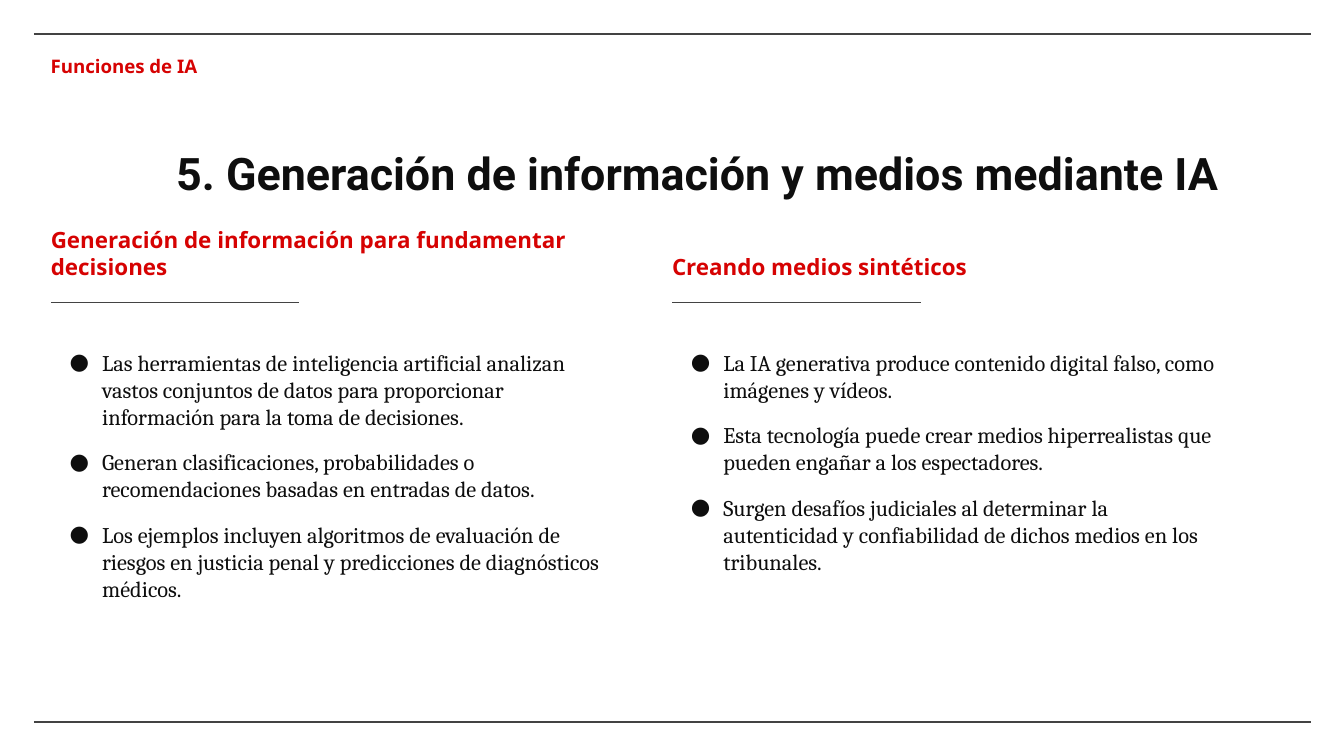
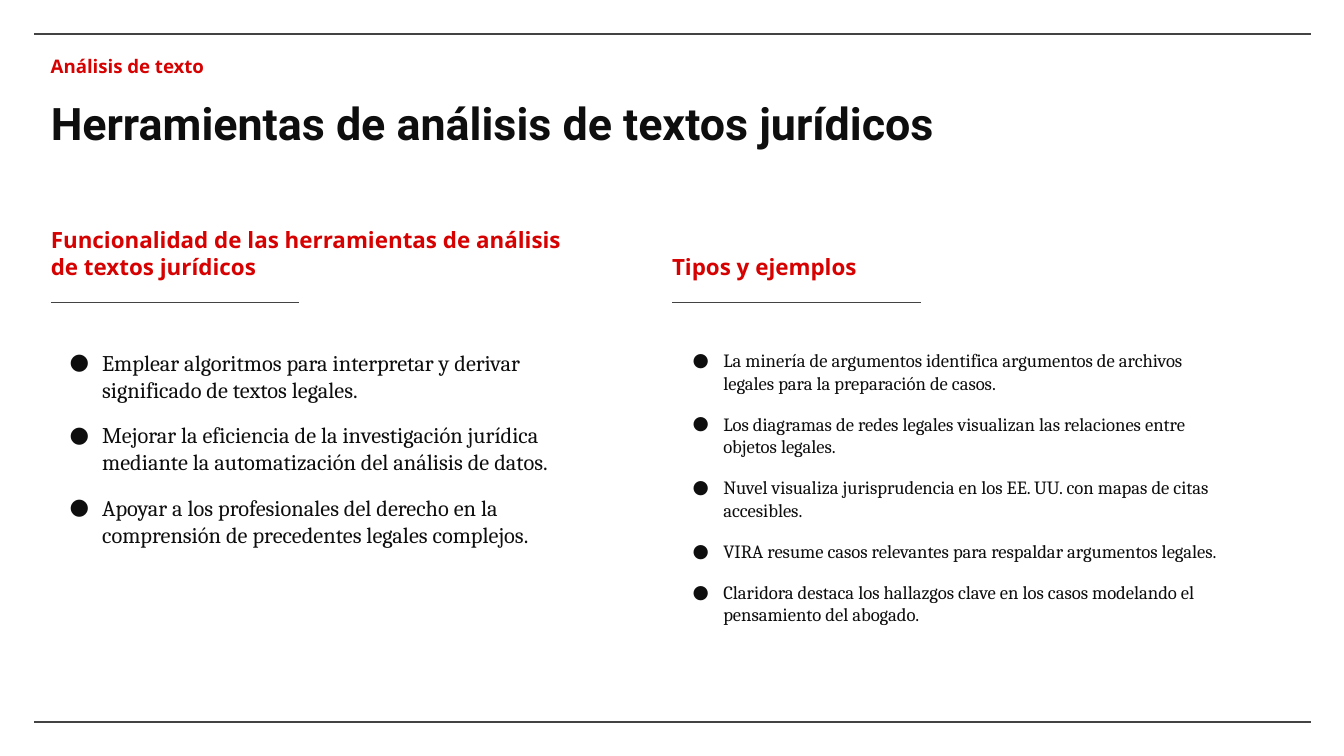
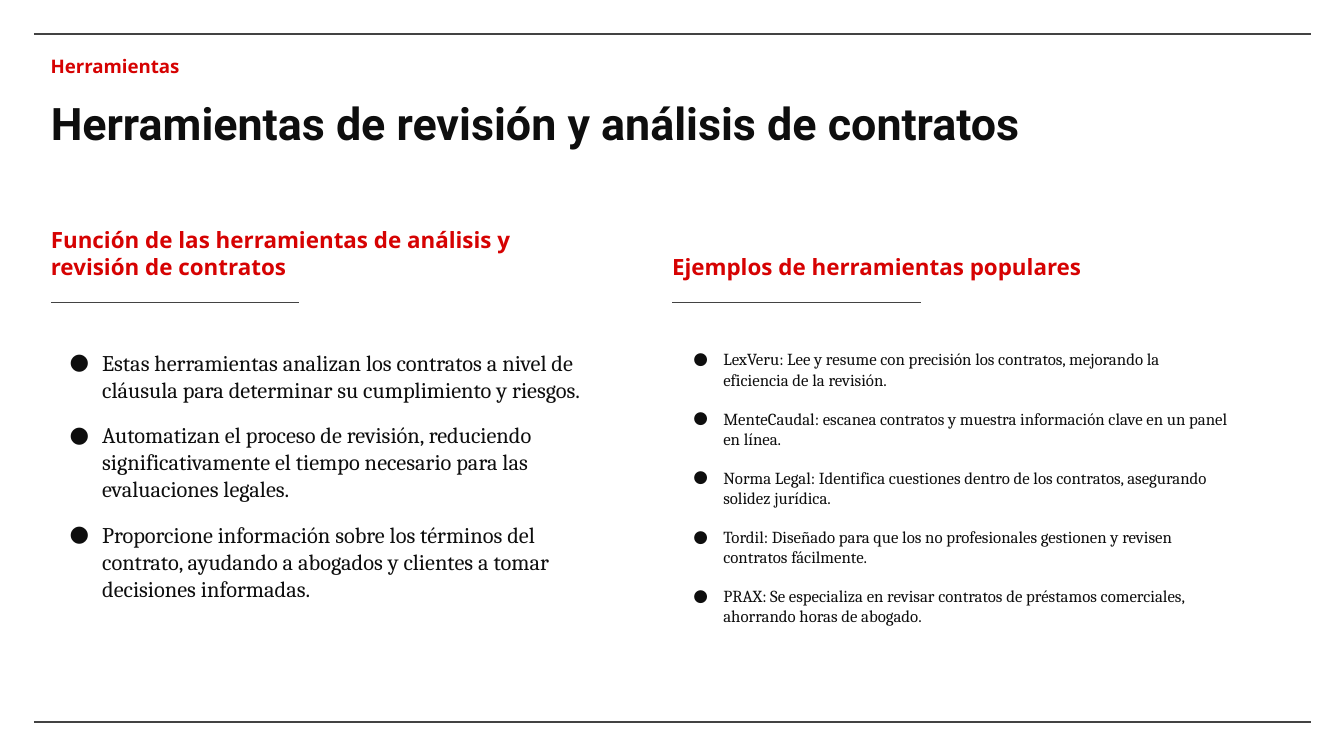
"""Build three two-column slides about artificial intelligence tools for law."""
from dataclasses import dataclass

from lxml.etree import SubElement
from pptx import Presentation
from pptx.dml.color import RGBColor
from pptx.enum.shapes import MSO_CONNECTOR
from pptx.enum.text import MSO_ANCHOR, MSO_AUTO_SIZE, PP_ALIGN
from pptx.oxml.ns import qn
from pptx.util import Cm, Pt

INK = "0E0E0E"
RED = "D60202"
GREY = "434343"
COLUMN_LEFTS = (0.96, 12.7)
COLUMN_WIDTH = 10.49
TITLE_LEFT, TITLE_TOP = 0.96, 1.45


@dataclass(frozen=True)
class Style:
    font: str
    size: float
    color: str
    bold: bool = False


@dataclass(frozen=True)
class Box:
    left: float
    top: float
    width: float
    height: float


@dataclass(frozen=True)
class Column:
    heading: str
    points: tuple[str, ...]
    size: float = 12


@dataclass(frozen=True)
class Topic:
    section: str
    title: str
    columns: tuple[Column, Column]
    title_left: float = TITLE_LEFT
    title_top: float = TITLE_TOP


TITLE_STYLE = Style("Roboto", 24, INK, True)
HEADING_STYLE = Style("Noto Sans", 12, RED, True)
SECTION_STYLE = Style("Noto Sans", 10, RED, True)

TOPICS = (
    Topic(
        "Funciones de IA",
        "5. Generación de información y medios mediante IA",
        (
            Column("Generación de información para fundamentar decisiones", (
                "Las herramientas de inteligencia artificial analizan vastos conjuntos de datos "
                "para proporcionar información para la toma de decisiones.",
                "Generan clasificaciones, probabilidades o recomendaciones basadas en entradas de datos.",
                "Los ejemplos incluyen algoritmos de evaluación de riesgos en justicia penal "
                "y predicciones de diagnósticos médicos.",
            )),
            Column("Creando medios sintéticos", (
                "La IA generativa produce contenido digital falso, como imágenes y vídeos.",
                "Esta tecnología puede crear medios hiperrealistas que pueden engañar a los espectadores.",
                "Surgen desafíos judiciales al determinar la autenticidad y confiabilidad "
                "de dichos medios en los tribunales.",
            )),
        ),
        title_left=3.33,
        title_top=2.41,
    ),
    Topic(
        "Análisis de texto",
        "Herramientas de análisis de textos jurídicos",
        (
            Column("Funcionalidad de las herramientas de análisis de textos jurídicos", (
                "Emplear algoritmos para interpretar y derivar significado de textos legales.",
                "Mejorar la eficiencia de la investigación jurídica mediante la automatización "
                "del análisis de datos.",
                "Apoyar a los profesionales del derecho en la comprensión de precedentes legales complejos.",
            )),
            Column("Tipos y ejemplos", (
                "La minería de argumentos identifica argumentos de archivos legales "
                "para la preparación de casos.",
                "Los diagramas de redes legales visualizan las relaciones entre objetos legales.",
                "Nuvel visualiza jurisprudencia en los EE. UU. con mapas de citas accesibles.",
                "VIRA resume casos relevantes para respaldar argumentos legales.",
                "Claridora destaca los hallazgos clave en los casos modelando el pensamiento del abogado.",
            ), 10),
        ),
    ),
    Topic(
        "Herramientas",
        "Herramientas de revisión y análisis de contratos",
        (
            Column("Función de las herramientas de análisis y revisión de contratos", (
                "Estas herramientas analizan los contratos a nivel de cláusula "
                "para determinar su cumplimiento y riesgos.",
                "Automatizan el proceso de revisión, reduciendo significativamente "
                "el tiempo necesario para las evaluaciones legales.",
                "Proporcione información sobre los términos del contrato, ayudando a abogados "
                "y clientes a tomar decisiones informadas.",
            )),
            Column("Ejemplos de herramientas populares", (
                "LexVeru: Lee y resume con precisión los contratos, mejorando la eficiencia de la revisión.",
                "MenteCaudal: escanea contratos y muestra información clave en un panel en línea.",
                "Norma Legal: Identifica cuestiones dentro de los contratos, asegurando solidez jurídica.",
                "Tordil: Diseñado para que los no profesionales gestionen y revisen contratos fácilmente.",
                "PRAX: Se especializa en revisar contratos de préstamos comerciales, "
                "ahorrando horas de abogado.",
            ), 9),
        ),
    ),
)


def rgb(color: str) -> RGBColor:
    return RGBColor.from_string(color)


def add_rule(slide, left: float, top: float, length: float):
    rule = slide.shapes.add_connector(
        MSO_CONNECTOR.STRAIGHT, Cm(left), Cm(top), Cm(left + length), Cm(top))
    rule.line.color.rgb = rgb(GREY)
    rule.line.width = Pt(0.75)
    SubElement(rule.element.spPr, qn("a:effectLst"))
    return rule


def prepare_frame(shape, box: Box, anchor: MSO_ANCHOR, right_inset: float = 0):
    shape.left, shape.top = Cm(box.left), Cm(box.top)
    shape.width, shape.height = Cm(box.width), Cm(box.height)
    frame = shape.text_frame
    frame.word_wrap = True
    frame.auto_size = MSO_AUTO_SIZE.NONE
    frame.vertical_anchor = anchor
    frame.margin_left, frame.margin_right = Cm(0), Cm(right_inset)
    frame.margin_top = frame.margin_bottom = Cm(0.25)
    return frame


def write(paragraph, text: str, style: Style, before: float = 0,
          after: float = 0, spacing: float = 1.0) -> None:
    paragraph.alignment = PP_ALIGN.LEFT
    paragraph.space_before, paragraph.space_after = Pt(before), Pt(after)
    paragraph.line_spacing = spacing
    run = paragraph.add_run()
    run.text = text
    run.font.name = style.font
    run.font.size = Pt(style.size)
    run.font.bold = style.bold
    run.font.color.rgb = rgb(style.color)


def add_bullet(paragraph, size: float) -> None:
    properties = paragraph._p.get_or_add_pPr()
    properties.set("marL", str(Cm(0.97)))
    properties.set("indent", str(-Cm(0.42 + 0.016 * size)))
    bullet_color = SubElement(properties, qn("a:buClr"))
    SubElement(bullet_color, qn("a:srgbClr"), val=INK)
    SubElement(properties, qn("a:buFont"), typeface="Cambria")
    SubElement(properties, qn("a:buChar"), char="●")


def fill_column(slide, column: Column, left: float, heading, points) -> None:
    heading_frame = prepare_frame(
        heading, Box(left, 3.61, COLUMN_WIDTH, 1.93), MSO_ANCHOR.BOTTOM, 0.25)
    write(heading_frame.paragraphs[0], column.heading, HEADING_STYLE, after=8)
    add_rule(slide, left, 5.72, 4.7)

    points_frame = prepare_frame(
        points, Box(left, 6.35, COLUMN_WIDTH, 6.91), MSO_ANCHOR.TOP)
    style = Style("Cambria", column.size, INK)
    last = len(column.points) - 1
    for index, point in enumerate(column.points):
        paragraph = points_frame.add_paragraph() if index else points_frame.paragraphs[0]
        add_bullet(paragraph, column.size)
        write(paragraph, point, style, before=10 if index else 0,
              after=10 if index == last else 0)


def add_topic(presentation, layout, topic: Topic):
    slide = presentation.slides.add_slide(layout)
    title, *fields = slide.placeholders
    title_frame = prepare_frame(
        title, Box(topic.title_left, topic.title_top, 23.14, 1.6), MSO_ANCHOR.BOTTOM)
    write(title_frame.paragraphs[0], topic.title, TITLE_STYLE, spacing=0.75)

    for column, left, heading, points in zip(
            topic.columns, COLUMN_LEFTS, fields[::2], fields[1::2]):
        fill_column(slide, column, left, heading, points)

    section = slide.shapes.add_textbox(0, 0, 0, 0)
    section_frame = prepare_frame(
        section, Box(0.96, 0.79, 11.76, 0.66), MSO_ANCHOR.TOP, 0.25)
    write(section_frame.paragraphs[0], topic.section, SECTION_STYLE)
    return slide


def main() -> None:
    presentation = Presentation()
    presentation.slide_width, presentation.slide_height = Cm(25.4), Cm(14.29)
    layout = presentation.slide_layouts.get_by_name("Comparison")
    slides = [add_topic(presentation, layout, topic) for topic in TOPICS]
    for top in (0.64, 13.65):
        border = add_rule(slides[0], 0.64, top, 24.13)
        layout.shapes.element.append(border.element)
    presentation.save("out.pptx")


if __name__ == "__main__":
    main()
